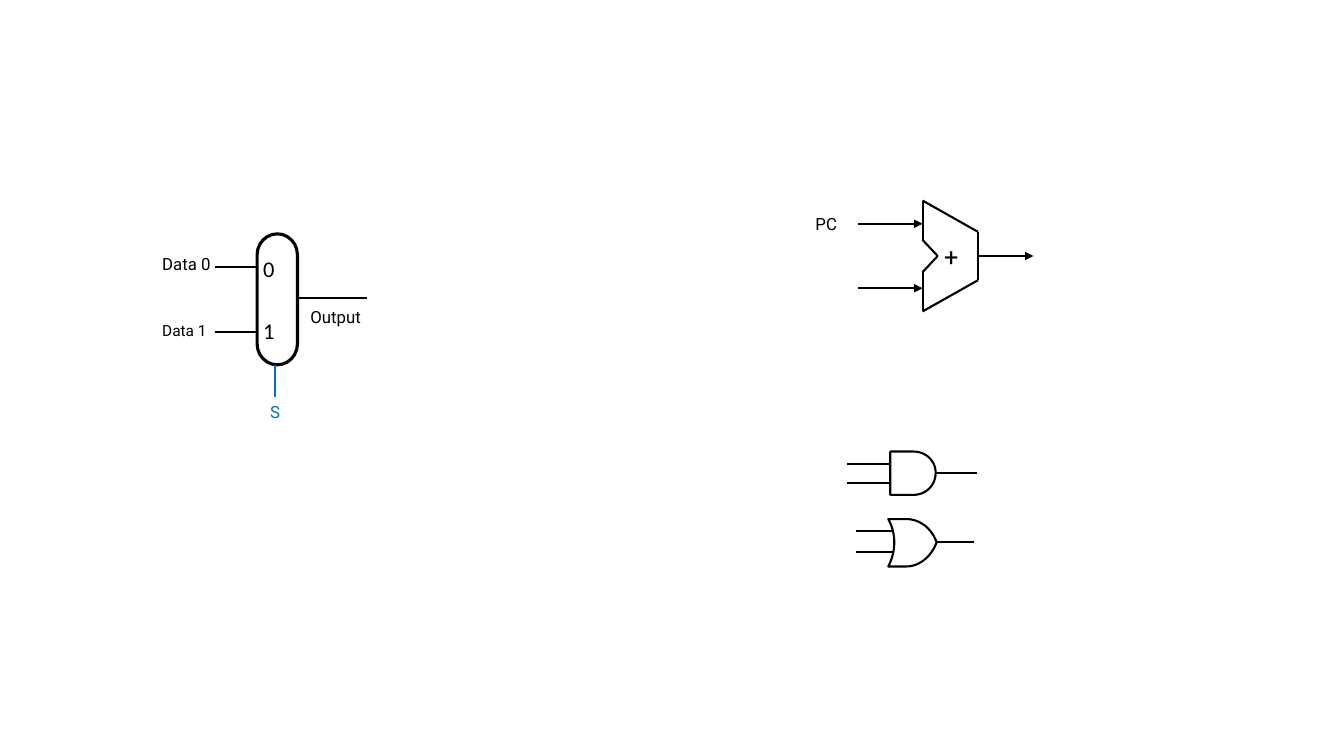
from dataclasses import dataclass

from pptx import Presentation
from pptx.dml.color import RGBColor
from pptx.enum.shapes import MSO_CONNECTOR, MSO_SHAPE
from pptx.enum.text import MSO_AUTO_SIZE, PP_ALIGN
from pptx.oxml.ns import qn
from pptx.oxml.xmlchemy import OxmlElement
from pptx.slide import Slide
from pptx.util import Emu, Pt

PX = 9144  # 100 px to the inch
COLORS = {"ink": "000000", "select": "0070C0", "paper": "FFFFFF"}
STRAIGHT = MSO_CONNECTOR.STRAIGHT
TERMINATOR = MSO_SHAPE.FLOWCHART_TERMINATOR
LEFT, CENTER = PP_ALIGN.LEFT, PP_ALIGN.CENTER
FIT_SHAPE = MSO_AUTO_SIZE.SHAPE_TO_FIT_TEXT
CURVE_STEPS = 16

Point = tuple[float, float]


@dataclass
class Wire:
    start: Point
    end: Point
    arrow: bool = False
    color: str = "ink"


@dataclass
class Label:
    text: str
    box: tuple[int, int, int, int]
    size: int = 12
    color: str = "ink"
    font: str = "Roboto"
    align: PP_ALIGN = LEFT
    wrap: bool = False
    insets: tuple[int, int, int, int] = (10, 5, 10, 5)
    gap: float = 0  # points between paragraphs


@dataclass
class Gate:
    start: Point
    segments: list[list[Point]]  # one point is a line, three are a Bezier curve


ADDER_OUTLINE = [(915, 199), (970, 230), (970, 278), (915, 309),
                 (915, 270), (930, 254), (915, 238)]

WIRES = [
    # Adder inputs and output
    Wire((851, 222), (915, 222), arrow=True),
    Wire((851, 286), (915, 286), arrow=True),
    Wire((970, 254), (1025, 254), arrow=True),
    # Multiplexer data, output and select
    Wire((213, 265), (255, 265)),
    Wire((213, 329), (255, 329)),
    Wire((295, 296), (364, 296)),
    Wire((273, 394), (273, 362), color="select"),
    # AND gate
    Wire((840, 460), (883, 460)),
    Wire((840, 479), (883, 479)),
    Wire((928, 469), (969, 469)),
    # OR gate
    Wire((849, 527), (886, 527)),
    Wire((849, 548), (886, 548)),
    Wire((929, 538), (966, 538)),
]

LABELS = [
    Label("PC", (792, 207, 55, 30), align=CENTER, wrap=True),
    Label("+", (926, 239, 35, 30), size=18, align=CENTER, wrap=True, insets=(0, 0, 0, 0)),
    Label("0\n1", (261, 249, 28, 93), size=16, font="Calibri", wrap=True,
          insets=(0, 4, 0, 0), gap=25.5),
    Label("S", (258, 394, 29, 30), color="select"),
    Label("Data 0", (151, 247, 69, 30)),
    Label("Data 1", (151, 314, 65, 29), size=11),
    Label("Output", (298, 299, 72, 30)),
]

AND_GATE = Gate((883, 448), [
    [(906, 448)],
    [(918, 448), (928, 457), (928, 469)],
    [(928, 482), (918, 491), (906, 491)],
    [(883, 491)],
])
OR_GATE = Gate((899, 515), [
    [(912, 515), (924, 524), (929, 538)],
    [(924, 552), (912, 562), (899, 562)],
    [(881, 562)],
    [(889, 547), (889, 529), (881, 515)],
])


def px(value: float) -> Emu:
    return Emu(round(value * PX))


def rgb(name: str) -> RGBColor:
    return RGBColor.from_string(COLORS[name])


def draw_wire(page: Slide, wire: Wire) -> None:
    connector = page.shapes.add_connector(STRAIGHT, *map(px, wire.start + wire.end))
    connector.line.color.rgb = rgb(wire.color)
    connector.line.width = Pt(1.5)
    properties = connector.element.spPr
    if wire.arrow:
        head = OxmlElement("a:tailEnd")
        head.set("type", "triangle")
        properties.find(qn("a:ln")).append(head)
    properties.append(OxmlElement("a:effectLst"))


def draw_label(page: Slide, label: Label) -> None:
    frame = page.shapes.add_textbox(*map(px, label.box)).text_frame
    frame.word_wrap = label.wrap
    frame.auto_size = FIT_SHAPE
    (frame.margin_left, frame.margin_top,
     frame.margin_right, frame.margin_bottom) = map(px, label.insets)
    frame.text = label.text
    for para in frame.paragraphs:
        para.alignment = label.align
        para.space_after = Pt(label.gap)
        for span in para.runs:
            span.font.name = label.font
            span.font.size = Pt(label.size)
            span.font.color.rgb = rgb(label.color)


def curve_points(points: list[Point]) -> list[Point]:
    """Sample a cubic Bezier curve, leaving out its first point."""
    result = []
    for step in range(1, CURVE_STEPS + 1):
        t = step / CURVE_STEPS
        weights = ((1 - t) ** 3, 3 * t * (1 - t) ** 2, 3 * t * t * (1 - t), t ** 3)
        x, y = (sum(w * p[axis] for w, p in zip(weights, points)) for axis in (0, 1))
        result.append((x, y))
    return result


def draw_gate(page: Slide, gate: Gate) -> None:
    outline = [gate.start]
    for segment in gate.segments:
        outline += segment if len(segment) == 1 else curve_points([outline[-1], *segment])
    vertices = [(px(x), px(y)) for x, y in outline]
    builder = page.shapes.build_freeform(*vertices[0], scale=1.0)
    builder.add_line_segments(vertices[1:], close=True)
    shape = builder.convert_to_shape()
    shape.shadow.inherit = False
    shape.fill.solid()
    shape.fill.fore_color.rgb = rgb("paper")
    shape.line.color.rgb = rgb("ink")
    shape.line.width = Pt(1.5)


def draw_multiplexer(page: Slide) -> None:
    body = page.shapes.add_shape(TERMINATOR, px(210), px(277), px(130), px(40))
    body.rotation = 90
    body.shadow.inherit = False
    body.fill.background()
    body.line.color.rgb = rgb("ink")
    body.line.width = Pt(2.25)


def main() -> None:
    deck = Presentation()
    deck.slide_width, deck.slide_height = px(1333), px(750)
    page = deck.slides.add_slide(deck.slide_layouts[6])

    # Component bodies
    for start, end in zip(ADDER_OUTLINE, ADDER_OUTLINE[1:] + ADDER_OUTLINE[:1]):
        draw_wire(page, Wire(start, end))
    draw_multiplexer(page)
    for gate in (OR_GATE, AND_GATE):
        draw_gate(page, gate)

    # Wires and labels
    for wire in WIRES:
        draw_wire(page, wire)
    for label in LABELS:
        draw_label(page, label)

    deck.save("out.pptx")


if __name__ == "__main__":
    main()
